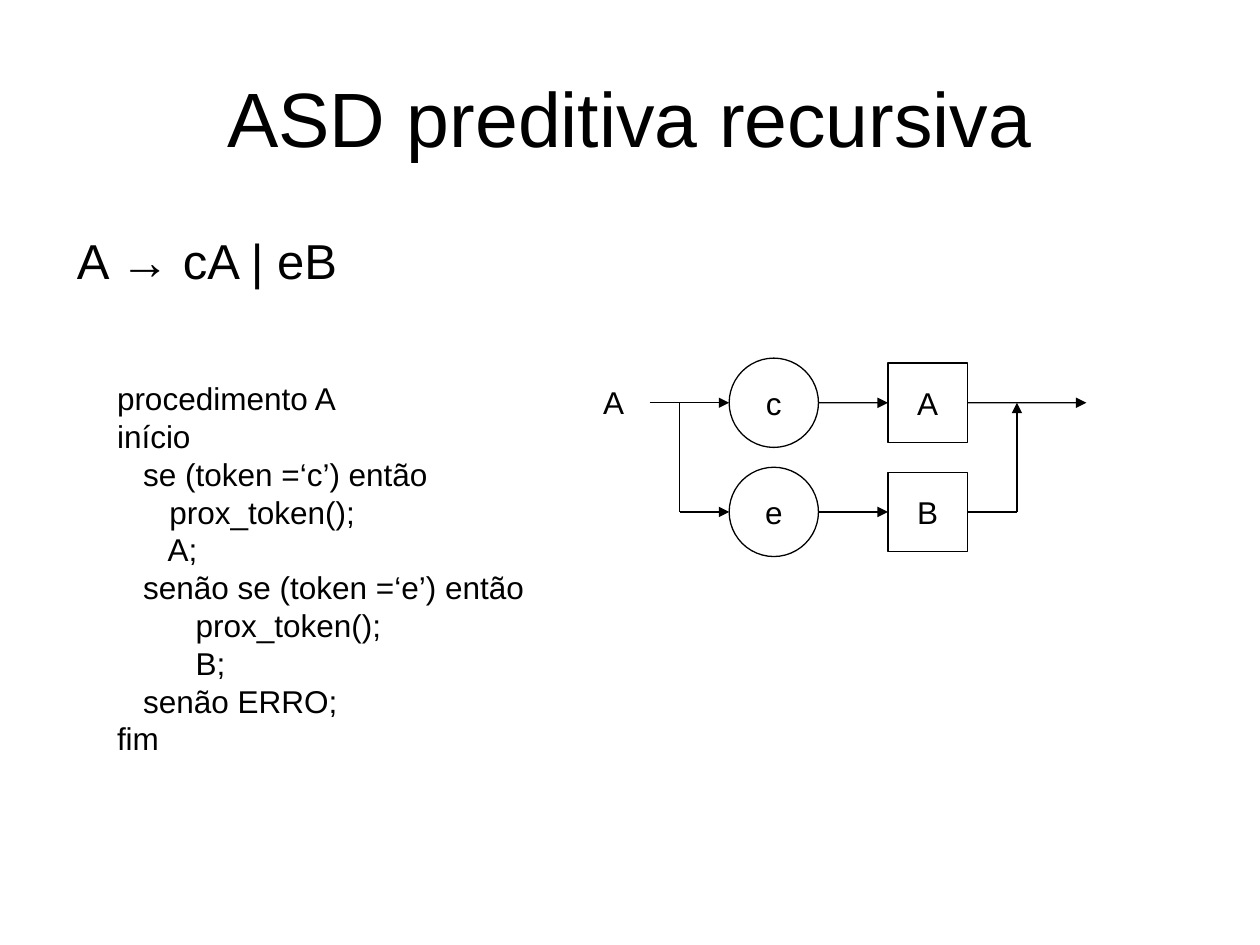
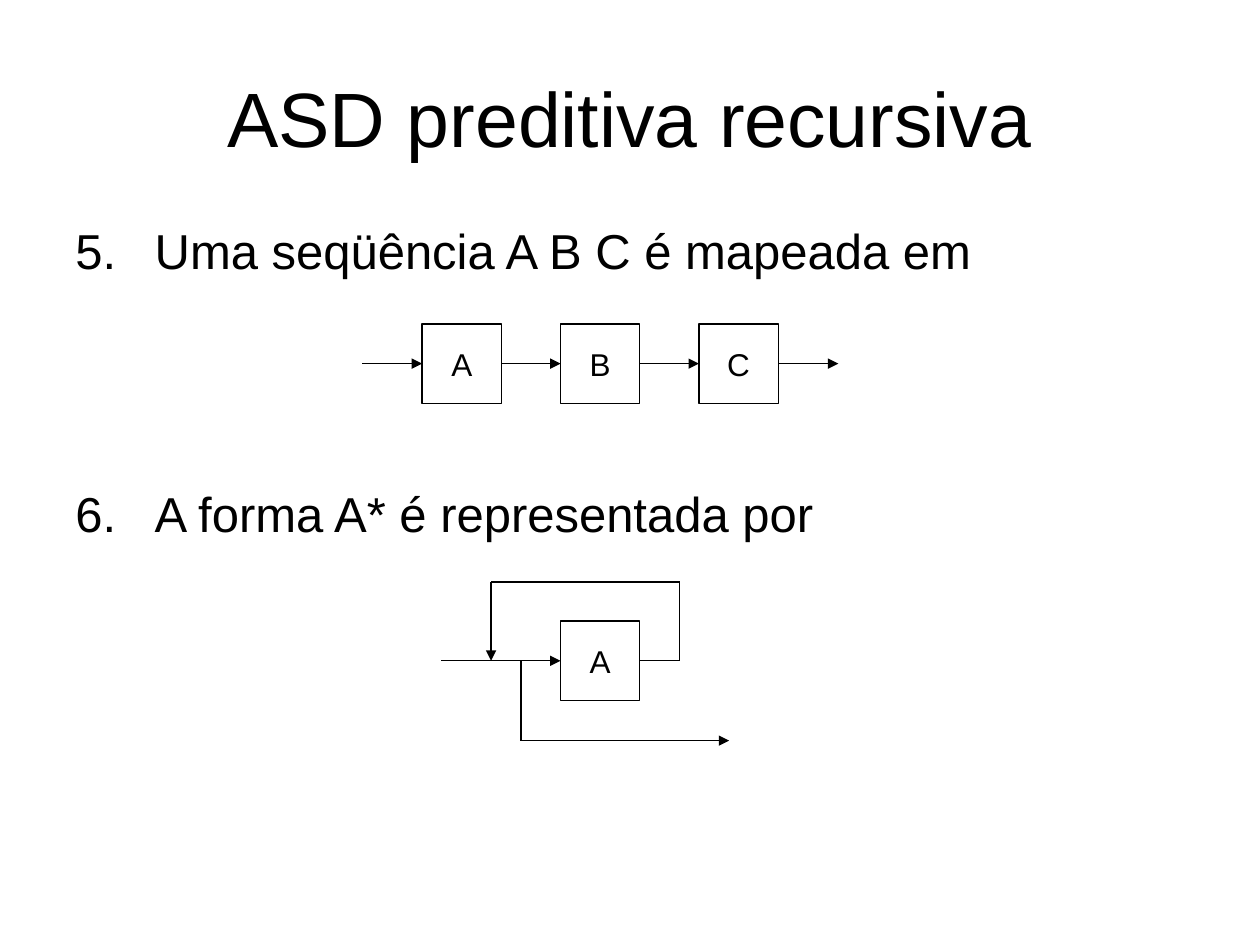
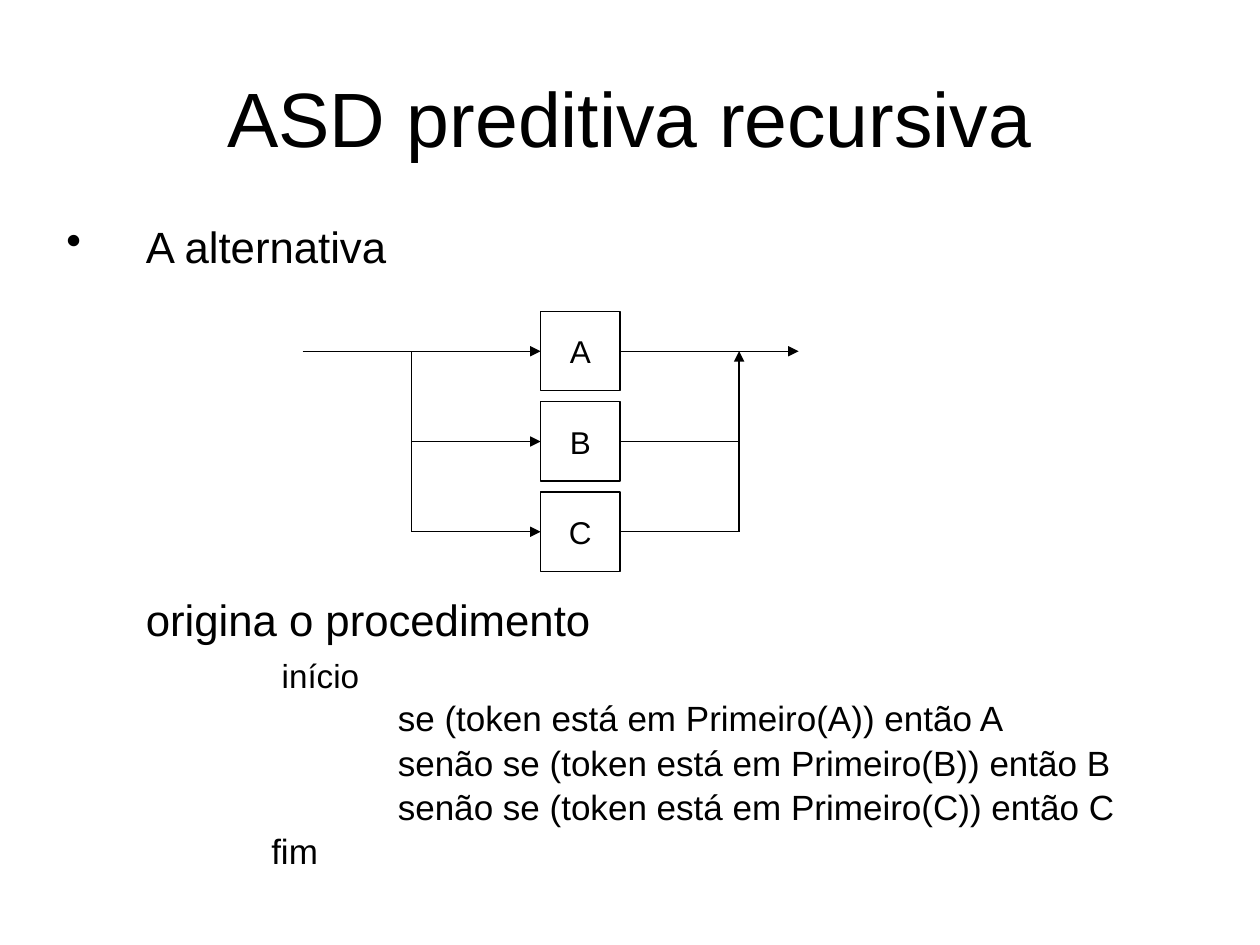
from dataclasses import dataclass
from typing import NamedTuple, Optional, Union

from lxml import etree
from pptx import Presentation
from pptx import util as u
from pptx.dml.color import RGBColor
from pptx.enum import shapes, text
from pptx.oxml import ns

FONT = "Arial"
INK = "000000"
TITLE = "ASD preditiva recursiva"
BOX_SIZE = 1.6
CIRCLE_SIZE = 1.8
TOP, LEFT, BOTTOM, RIGHT = range(4)


class Point(NamedTuple):
    x: float
    y: float


class Port(NamedTuple):
    """Middle of one side of a labelled node."""
    label: str
    side: int


class Bullet(NamedTuple):
    tag: str
    attributes: dict[str, str]


@dataclass
class Node:
    label: str
    x: float
    y: float
    circle: bool = False

    @property
    def size(self) -> float:
        return CIRCLE_SIZE if self.circle else BOX_SIZE

    def port(self, side: int) -> Point:
        half = self.size / 2
        dx, dy = [(0, -half), (-half, 0), (0, half), (half, 0)][side]
        return Point(self.x + dx, self.y + dy)


@dataclass
class Link:
    start: Union[Point, Port]
    end: Union[Point, Port]
    arrow: bool = True


@dataclass
class Line:
    words: str
    size: float = 18
    before: float = 0
    spacing: float = 1
    margin: float = 0
    bullet: Optional[Bullet] = None
    align: text.PP_ALIGN = text.PP_ALIGN.LEFT


def color(value: str) -> RGBColor:
    return RGBColor.from_string(value)


def fill_frame(frame, lines: list[Line]) -> None:
    for index, line in enumerate(lines):
        para = frame.paragraphs[0] if index == 0 else frame.add_paragraph()
        para.text = line.words
        properties = para._p.get_or_add_pPr()
        if line.margin:
            margin = u.Cm(line.margin)
            properties.set("marL", str(margin))
            properties.set("indent", str(-margin if line.bullet else 0))
        if line.bullet:
            etree.SubElement(properties, ns.qn(line.bullet.tag), line.bullet.attributes)
        para.alignment = line.align
        para.line_spacing = line.spacing
        para.space_before = u.Pt(line.before)
        para.font.name = FONT
        para.font.size = u.Pt(line.size)
        para.font.color.rgb = color(INK)


def add_text(page, x: float, y: float, width: float, height: float,
             lines: list[Line], anchor=text.MSO_ANCHOR.TOP) -> None:
    frame = page.shapes.add_textbox(u.Cm(x), u.Cm(y), u.Cm(width), u.Cm(height)).text_frame
    frame.word_wrap = True
    frame.vertical_anchor = anchor
    fill_frame(frame, lines)


def add_node(page, node: Node):
    kind = shapes.MSO_SHAPE.OVAL if node.circle else shapes.MSO_SHAPE.RECTANGLE
    half = node.size / 2
    box = page.shapes.add_shape(kind, u.Cm(node.x - half), u.Cm(node.y - half),
                                u.Cm(node.size), u.Cm(node.size))
    box.shadow.inherit = False
    box.fill.background()
    box.line.color.rgb = color(INK)
    box.line.width = u.Pt(0.75)
    box.text_frame.word_wrap = False
    box.text_frame.vertical_anchor = text.MSO_ANCHOR.MIDDLE
    fill_frame(box.text_frame, [Line(node.label, align=text.PP_ALIGN.CENTER)])
    return box


def add_diagram(page, nodes: list[Node], links: list[Link]) -> None:
    by_label = {node.label: node for node in nodes}
    boxes = {node.label: add_node(page, node) for node in nodes}
    for link in links:
        ends = [by_label[end.label].port(end.side) if isinstance(end, Port) else end
                for end in (link.start, link.end)]
        connector = page.shapes.add_connector(
            shapes.MSO_CONNECTOR.STRAIGHT, *(u.Cm(value) for end in ends for value in end))
        for end, join in ((link.start, connector.begin_connect),
                          (link.end, connector.end_connect)):
            if isinstance(end, Port) and not by_label[end.label].circle:
                join(boxes[end.label], end.side)
        connector.line.color.rgb = color(INK)
        connector.line.width = u.Pt(0.75)
        if link.arrow:
            etree.SubElement(connector.line._get_or_add_ln(), ns.qn("a:tailEnd"), type="triangle")
        etree.SubElement(connector._element.spPr, ns.qn("a:effectLst"))


def add_page(deck):
    page = deck.slides.add_slide(deck.slide_layouts[6])
    add_text(page, 1.27, 0.76, 22.86, 3.18,
             [Line(TITLE, 44, align=text.PP_ALIGN.CENTER)], text.MSO_ANCHOR.MIDDLE)
    return page


def add_procedure_page(deck) -> None:
    page = add_page(deck)
    add_text(page, 1.3, 4.52, 22.86, 1.6, [Line("A → cA | eB", 28)])
    code = ["procedimento A", "início", "   se (token =‘c’) então",
            "      prox_token();", "      A;", "   senão se (token =‘e’) então",
            "         prox_token();", "         B;", "   senão ERRO;", "fim"]
    add_text(page, 2.11, 7.52, 9.5, 7.87, [Line(words) for words in code])
    add_text(page, 11.91, 7.59, 0.95, 1.02, [Line("A")])

    # Syntax graph: one row per alternative
    upper, lower = 8.12, 10.32
    branch, merge = 13.7, 20.5
    nodes = [Node("c", 15.6, upper, True), Node("A", 18.7, upper),
             Node("e", 15.6, lower, True), Node("B", 18.7, lower)]
    links = [
        Link(Point(13.1, upper), Port("c", LEFT)),
        Link(Port("c", RIGHT), Port("A", LEFT)),
        Link(Port("A", RIGHT), Point(21.9, upper)),
        Link(Point(branch, upper), Point(branch, lower), False),
        Link(Point(branch, lower), Port("e", LEFT)),
        Link(Port("e", RIGHT), Port("B", LEFT)),
        Link(Port("B", RIGHT), Point(merge, lower), False),
        Link(Point(merge, lower), Point(merge, upper)),
    ]
    add_diagram(page, nodes, links)


def add_sequence_page(deck) -> None:
    page = add_page(deck)
    number = Bullet("a:buAutoNum", {"type": "arabicPeriod", "startAt": "5"})
    add_text(page, 1.27, 4.45, 22.86, 12.57, [
        Line("Uma seqüência A B C é mapeada em", 28, 0, 0.9, 1.6, number),
        Line("A forma A* é representada por", 28, 120, 0.9, 1.6, number),
    ])

    # Sequence
    row = 7.33
    nodes = [Node(label, 9.31 + 2.79 * index, row) for index, label in enumerate("ABC")]
    ends = [Point(7.3, row)]
    for node in nodes:
        ends += [Port(node.label, LEFT), Port(node.label, RIGHT)]
    ends.append(Point(16.9, row))
    add_diagram(page, nodes, [Link(*pair) for pair in zip(ends[::2], ends[1::2])])

    # Repetition
    row, loop_top, skip_row = 13.32, 11.73, 14.93
    back, right, skip = 9.9, 13.7, 10.5
    add_diagram(page, [Node("A", 12.1, row)], [
        Link(Point(8.9, row), Port("A", LEFT)),
        Link(Port("A", RIGHT), Point(right, row), False),
        Link(Point(right, row), Point(right, loop_top), False),
        Link(Point(right, loop_top), Point(back, loop_top), False),
        Link(Point(back, loop_top), Point(back, row)),
        Link(Point(skip, row), Point(skip, skip_row), False),
        Link(Point(skip, skip_row), Point(14.7, skip_row)),
    ])


def add_alternative_page(deck) -> None:
    page = add_page(deck)
    tests = [f"{word} (token está em Primeiro({label})) então {label}"
             for word, label in (("se", "A"), ("senão se", "B"), ("senão se", "C"))]
    add_text(page, 1.09, 4.52, 22.86, 14.2, [
        Line("A alternativa", 25, 0, 0.8, 1.6, Bullet("a:buChar", {"char": "•"})),
        Line("origina o procedimento", 25, 189, 0.8, 1.6),
        Line("início", 19, 10, 0.8, 4.34),
        *(Line(words, 20, 6, 0.8, 6.68) for words in tests),
        Line("fim", 20, 6, 0.8, 4.13),
    ])

    # Alternatives between a branch and a merge line
    branch, merge = 8.3, 14.9
    first, *others = [Node(label, 11.7, 7.08 + 1.82 * index) for index, label in enumerate("ABC")]
    last = others[-1].y
    links = [
        Link(Point(6.1, first.y), Port(first.label, LEFT)),
        Link(Port(first.label, RIGHT), Point(16.1, first.y)),
        Link(Point(branch, first.y), Point(branch, last), False),
        Link(Point(merge, last), Point(merge, first.y)),
    ]
    for node in others:
        links += [Link(Point(branch, node.y), Port(node.label, LEFT)),
                  Link(Port(node.label, RIGHT), Point(merge, node.y), False)]
    add_diagram(page, [first, *others], links)


def main() -> None:
    deck = Presentation()
    deck.slide_width, deck.slide_height = u.Cm(25.4), u.Cm(19.05)
    add_procedure_page(deck)
    add_sequence_page(deck)
    add_alternative_page(deck)
    deck.save("out.pptx")


if __name__ == "__main__":
    main()
